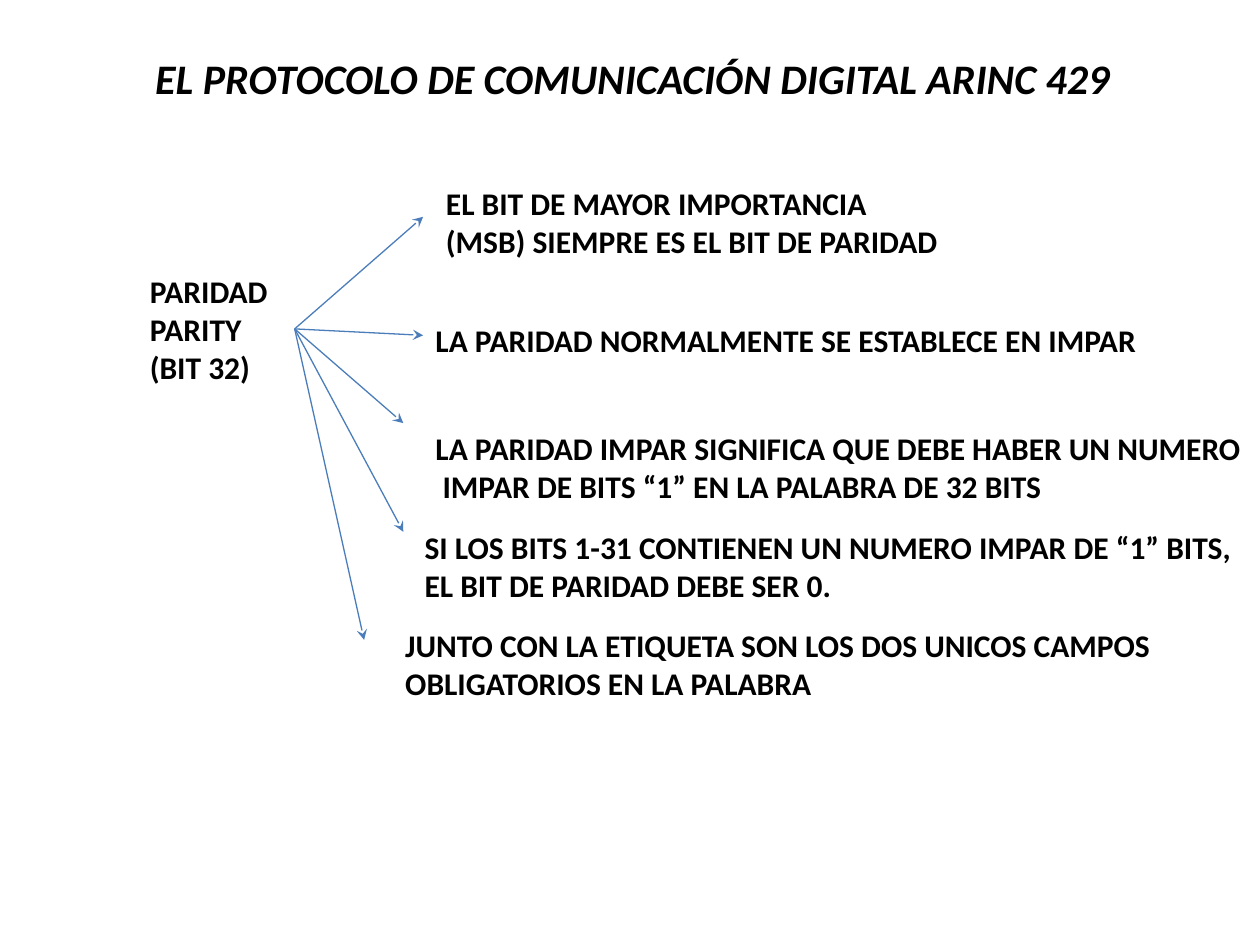
from lxml.etree import SubElement
from pptx import Presentation
from pptx.dml.color import RGBColor
from pptx.enum.shapes import MSO_CONNECTOR
from pptx.enum.text import MSO_ANCHOR, PP_ALIGN
from pptx.oxml.ns import qn
from pptx.util import Cm, Pt


def color(hex_value):
    return RGBColor.from_string(hex_value)


def add_text(left, top, width, height, text, size=18):
    """Add a wrapped text box in bold black Calibri, one paragraph a line."""
    tf = s.shapes.add_textbox(Cm(left), Cm(top), Cm(width), Cm(height)).text_frame
    tf.word_wrap = True
    tf.text = text
    for p in tf.paragraphs:
        for r in p.runs:
            r.font.name = "Calibri"
            r.font.size = Pt(size)
            r.font.bold = True
            r.font.color.rgb = color("000000")
    return tf


prs = Presentation()
prs.slide_width, prs.slide_height = Cm(25.4), Cm(19.05)
s = prs.slides.add_slide(prs.slide_layouts[6])

title = add_text(1.98, 0.58, 21.54, 1.96,
                 "EL PROTOCOLO DE COMUNICACIÓN DIGITAL ARINC 429", 24)
title.vertical_anchor = MSO_ANCHOR.MIDDLE
title.paragraphs[0].alignment = PP_ALIGN.CENTER
title.paragraphs[0].runs[0].font.italic = True

add_text(2.77, 5.36, 3.18, 2.57, "PARIDAD\nPARITY\n(BIT 32)")

# Each branch: arrow tip (x, y), text box (left, top, width, height), text
origin = Cm(5.94), Cm(6.63)
branches = [
    ((8.53, 4.37), (8.74, 3.58, 10.52, 1.8),
     "EL BIT DE MAYOR IMPORTANCIA (MSB) SIEMPRE ES EL BIT DE PARIDAD"),
    ((8.53, 6.76), (8.53, 6.35, 14.78, 1.02),
     "LA PARIDAD NORMALMENTE SE ESTABLECE EN IMPAR"),
    ((8.13, 8.53), (8.53, 8.53, 16.92, 1.8),
     "LA PARIDAD IMPAR SIGNIFICA QUE DEBE HABER UN NUMERO\n"
     " IMPAR DE BITS “1” EN LA PALABRA DE 32 BITS"),
    ((8.13, 10.72), (8.31, 10.52, 17.09, 1.8),
     "SI LOS BITS 1-31 CONTIENEN UN NUMERO IMPAR DE “1” BITS,\n"
     "EL BIT DE PARIDAD DEBE SER 0."),
    ((7.34, 12.9), (7.92, 12.5, 15.67, 1.8),
     "JUNTO CON LA ETIQUETA SON LOS DOS UNICOS CAMPOS\n"
     "OBLIGATORIOS EN LA PALABRA"),
]
for (x, y), box, text in branches:
    arrow = s.shapes.add_connector(MSO_CONNECTOR.STRAIGHT, *origin, Cm(x), Cm(y))
    arrow.line.color.rgb = color("4A7DBA")
    arrow.line.width = Pt(0.75)
    SubElement(arrow.line._get_or_add_ln(), qn("a:tailEnd"), type="stealth")
    SubElement(arrow._element.spPr, qn("a:effectLst"))
    add_text(*box, text)

prs.save("out.pptx")
